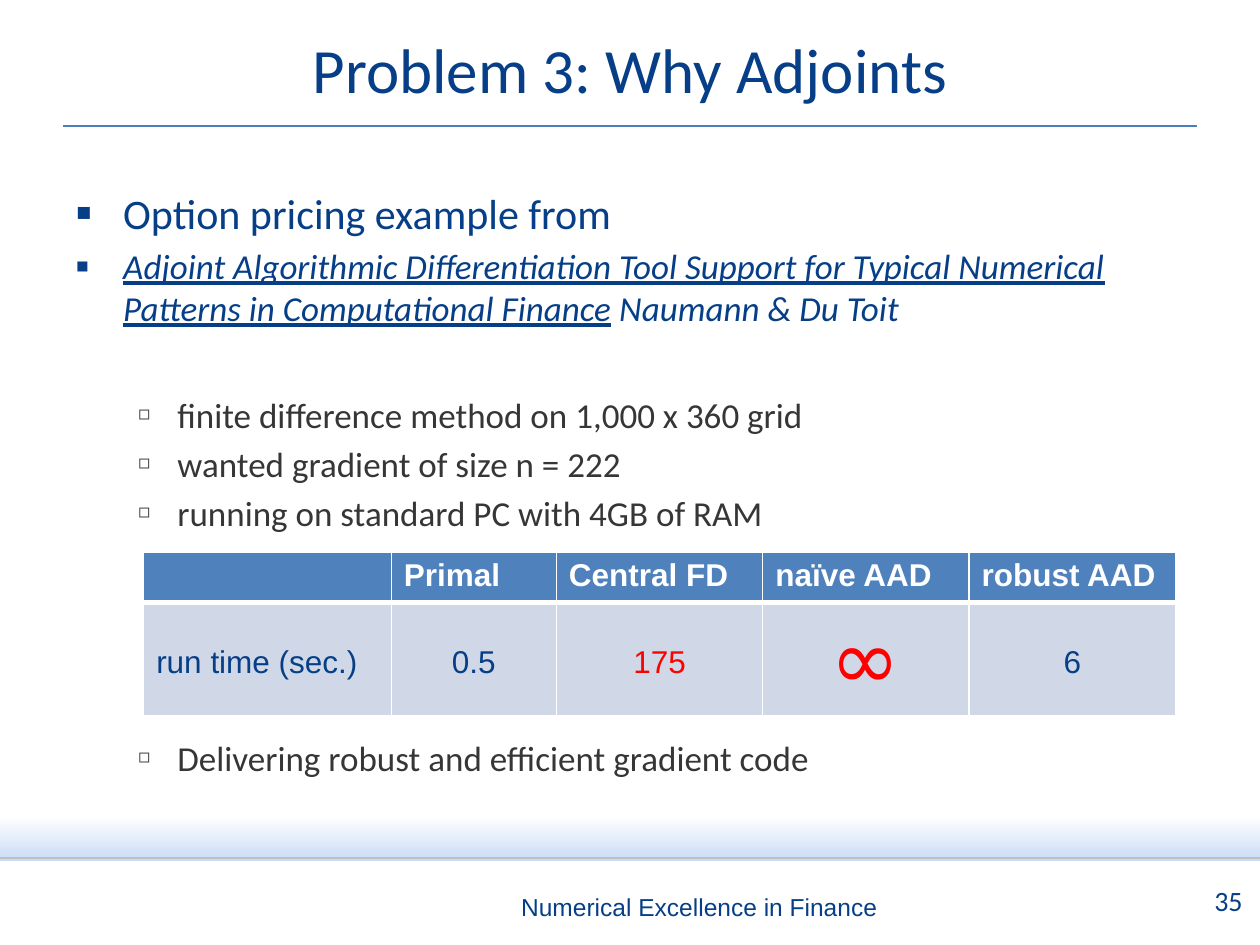
from lxml.etree import SubElement
from pptx import Presentation
from pptx.dml.color import RGBColor
from pptx.enum.shapes import MSO_CONNECTOR, MSO_SHAPE
from pptx.enum.text import MSO_ANCHOR, PP_ALIGN
from pptx.oxml.ns import qn
from pptx.util import Inches, Pt

COLUMNS = 100
SLIDE_WIDTH, SLIDE_HEIGHT = Inches(10), Inches(7.5)
CELL = SLIDE_WIDTH / COLUMNS
ROWS = SLIDE_HEIGHT / CELL

NAVY, GRAY, WHITE, RED = "063F87", "363636", "FFFFFF", "FF0000"
HEADER_BLUE, ROW_BLUE, GLOW_BLUE = "4F81BD", "D0D8E8", "C6DAF6"
COLUMN_SHARES = [12, 8, 10, 10, 10]
HEADINGS = ["", "Primal", "Central FD", "naïve AAD", "robust AAD"]
RUN_TIMES = [("run time (sec.)", NAVY), ("0.5", NAVY), ("175", RED), ("∞", RED), ("6", NAVY)]
CITED_TITLE = ("Adjoint Algorithmic Differentiation Tool Support for Typical "
               "Numerical Patterns in Computational Finance")
DETAILS = [
    ("finite difference method on 1,000 x 360 grid", 37),
    ("wanted gradient of size n = 222", 4),
    ("running on standard PC with 4GB of RAM", 4),
    ("Delivering robust and efficient gradient code", 116),
]


def rgb(color):
    return RGBColor.from_string(color)


def grid(*cells):
    return [round(count * CELL) for count in cells]


def style(font, size, color, name="Calibri"):
    font.size, font.name = Pt(size), name
    font.color.rgb = rgb(color)


def text_frame(slide, box, anchor=MSO_ANCHOR.TOP):
    frame = slide.shapes.add_textbox(*grid(*box)).text_frame
    frame.word_wrap = True
    frame.vertical_anchor = anchor
    return frame


def add_label(slide, box, wording, size, name="Calibri", anchor=MSO_ANCHOR.TOP):
    label = text_frame(slide, box, anchor).paragraphs[0]
    label.text = wording
    label.alignment = PP_ALIGN.CENTER
    style(label.runs[0].font, size, NAVY, name)


def add_rule(slide, left, right, row, color):
    rule = slide.shapes.add_connector(MSO_CONNECTOR.STRAIGHT, *grid(left, row, right, row))
    rule.line.color.rgb = rgb(color)
    rule.line.width = Pt(0.75)
    SubElement(rule._element.spPr, qn("a:effectLst"))


def add_band(slide, box):
    band = slide.shapes.add_shape(MSO_SHAPE.RECTANGLE, *grid(*box))
    band.shadow.inherit = False
    band.line.fill.background()
    band.fill.solid()
    band.fill.fore_color.rgb = rgb(WHITE)
    return band


def fade(band):
    properties = band._element.spPr
    solid = properties.find(qn("a:solidFill"))
    gradient = SubElement(properties, qn("a:gradFill"), rotWithShape="1")
    properties.replace(solid, gradient)
    stops = SubElement(gradient, qn("a:gsLst"))
    for percent, color, opacity in [(24, GLOW_BLUE, 0), (51, GLOW_BLUE, 100), (100, "F2F2F2", 0)]:
        stop = SubElement(stops, qn("a:gs"), pos=str(percent * 1000))
        tint = SubElement(stop, qn("a:srgbClr"), val=color)
        SubElement(tint, qn("a:alpha"), val=str(opacity * 1000))
    SubElement(gradient, qn("a:lin"), ang="5400000", scaled="0")


def add_footer(slide, left, top, width, height):
    fade(add_band(slide, (left, top, width, height)))
    add_band(slide, (left, top + height / 2, width, height / 2))
    add_rule(slide, left, left + width, top + 6.4, "BFBFBF")
    add_label(slide, (left + width - 5, top + 7.9, 5, 3.7), "35", 16)
    add_label(slide, (left + 18.8, top + 8.6, 73.4, 3.3),
              "Numerical Excellence in Finance", 14, "Arial")


def add_heading(slide, left, top, width, height):
    add_label(slide, (left, top, width, height), "Problem 3: Why Adjoints", 36,
              anchor=MSO_ANCHOR.MIDDLE)
    add_rule(slide, left, left + width, 10, "4B7EBC")


def bullet(paragraph, mark, percent, margin, hanging):
    properties = paragraph._p.get_or_add_pPr()
    properties.set("marL", str(Inches(margin)))
    properties.set("indent", str(-Inches(hanging)))
    SubElement(properties, qn("a:buSzPct"), val=str(percent * 1000))
    SubElement(properties, qn("a:buFont"), typeface="Arial")
    SubElement(properties, qn("a:buChar"), char=mark)


def add_points(slide, *box):
    frame = text_frame(slide, box, MSO_ANCHOR.MIDDLE)
    frame.margin_top = Inches(0.13)

    example = frame.paragraphs[0]
    example.text = "Option pricing example from"
    bullet(example, "▪", 115, 0.38, 0.38)
    style(example.runs[0].font, 24, NAVY)

    citation = frame.add_paragraph()
    bullet(citation, "▪", 115, 0.38, 0.38)
    citation.space_before = Pt(4)
    for wording, underlined in [(CITED_TITLE, True), (" Naumann & Du Toit", False)]:
        part = citation.add_run()
        part.text = wording
        style(part.font, 20, NAVY)
        part.font.italic = True
        part.font.underline = underlined

    for wording, gap in DETAILS:
        detail = frame.add_paragraph()
        detail.text = wording
        detail.level = 1
        bullet(detail, "◻", 55, 0.81, 0.31)
        detail.space_before = Pt(gap)
        style(detail.runs[0].font, 20, GRAY)


def fill_cell(cell, color, top_width, bottom_width):
    properties = cell._tc.get_or_add_tcPr()
    for side, width in [("lnL", 1), ("lnR", 1), ("lnT", top_width), ("lnB", bottom_width)]:
        border = SubElement(properties, qn(f"a:{side}"), w=str(Pt(width)))
        paint = SubElement(border, qn("a:solidFill"))
        SubElement(paint, qn("a:srgbClr"), val=WHITE)
    cell.fill.solid()
    cell.fill.fore_color.rgb = rgb(color)


def add_run_times(slide, left, top, width, height):
    table = slide.shapes.add_table(2, len(HEADINGS), *grid(left, top, width, height)).table
    table.rows[0].height, table.rows[1].height = grid(4, height - 4)
    for index, share in enumerate(COLUMN_SHARES):
        table.columns[index].width = grid(width * share / sum(COLUMN_SHARES))[0]

        heading = table.cell(0, index)
        fill_cell(heading, HEADER_BLUE, 1, 3)
        heading.text_frame.text = HEADINGS[index]
        for run in heading.text_frame.paragraphs[0].runs:
            style(run.font, 18, WHITE, "Arial")
            run.font.bold = True

        wording, color = RUN_TIMES[index]
        infinite = wording == "∞"
        result = table.cell(1, index)
        fill_cell(result, ROW_BLUE, 3, 1)
        result.margin_top = Inches(0.05 if infinite else 0.34)
        value = result.text_frame.paragraphs[0]
        value.text = wording
        value.alignment = PP_ALIGN.CENTER if index else PP_ALIGN.LEFT
        font = value.runs[0].font
        style(font, 48 if infinite else 18, color, "Cabin" if infinite else "Arial")
        font.bold = False


def main():
    deck = Presentation()
    deck.slide_width, deck.slide_height = SLIDE_WIDTH, SLIDE_HEIGHT
    slide = deck.slides.add_slide(deck.slide_layouts[6])
    add_footer(slide, 0, ROWS - 13.3, COLUMNS, 13.3)
    add_points(slide, 5, 12.5, 90, 50.8)
    add_heading(slide, 5, 1.7, 90, 7.5)
    add_run_times(slide, 11.4, 43.8, 81.9, 13)
    deck.save("out.pptx")


if __name__ == "__main__":
    main()
